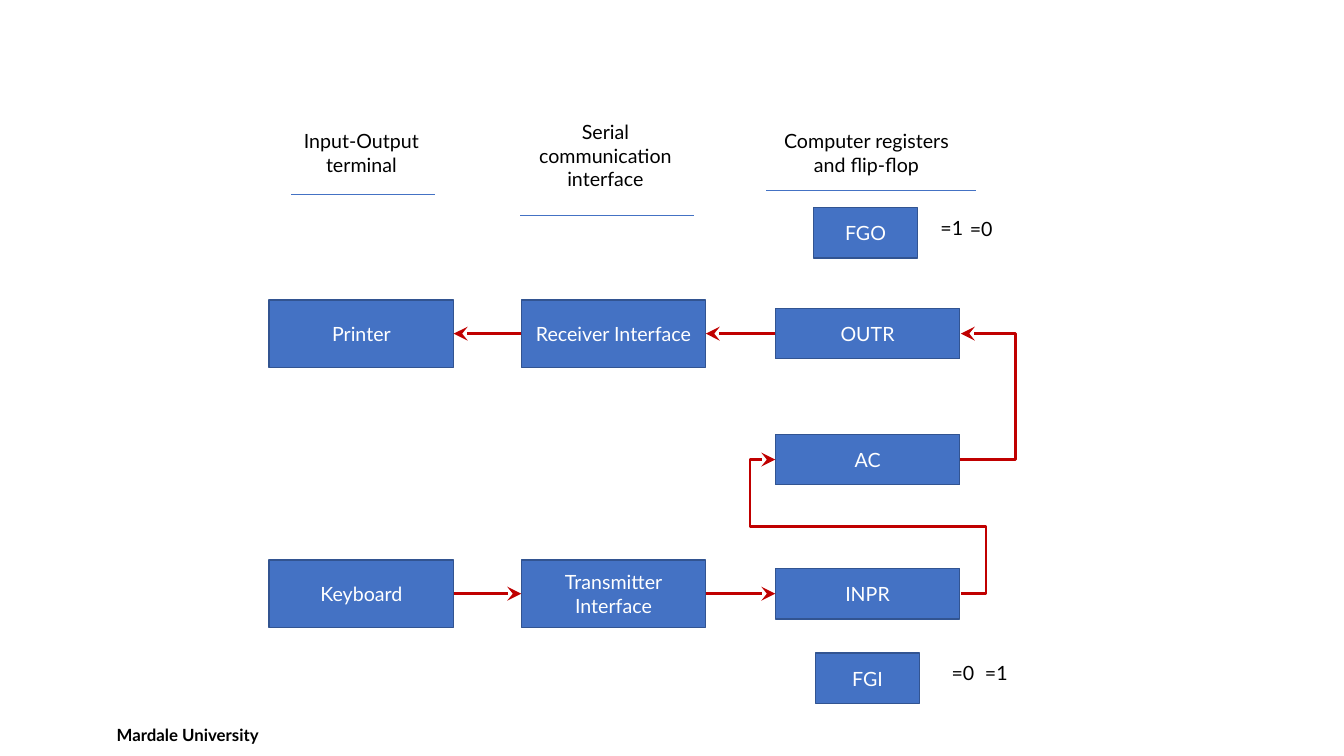
from pptx import Presentation
from pptx.util import Inches, Pt
from pptx.dml.color import RGBColor
from pptx.enum.shapes import MSO_SHAPE as Shape, MSO_CONNECTOR as Conn
from pptx.enum.text import PP_ALIGN as Align, MSO_ANCHOR as Anchor, MSO_AUTO_SIZE as Auto
from pptx.oxml.ns import qn
from lxml.etree import SubElement

BLUE = RGBColor(0x44, 0x72, 0xC4)
EDGE = RGBColor(0x32, 0x54, 0x91)
RED = RGBColor(0xC0, 0x00, 0x00)
BLACK = RGBColor(0, 0, 0)
WHITE = RGBColor(0xFF, 0xFF, 0xFF)
FONT = "Lato"

OUT_Y, AC_Y, IN_Y = 3.31, 4.56, 5.89
TERM_X, LINK_X, REG_X = 2.67, 5.17, 7.69
WIDE, TALL, LOW = 1.83, 0.67, 0.5
FLAG_W = 1.03


def add_text(frame, text, color, size=14, bold=False, align=Align.LEFT):
    para = frame.paragraphs[0]
    para.alignment = align
    run = para.add_run()
    run.text = text
    font = run.font
    font.name, font.size, font.bold = FONT, Pt(size), bold
    font.color.rgb = color


def add_box(slide, text, left, mid, width, height):
    box = slide.shapes.add_shape(
        Shape.RECTANGLE, Inches(left), Inches(mid - height / 2),
        Inches(width), Inches(height))
    box.shadow.inherit = False
    box.fill.solid()
    box.fill.fore_color.rgb = BLUE
    box.line.color.rgb = EDGE
    box.line.width = Pt(1)
    box.text_frame.vertical_anchor = Anchor.MIDDLE
    add_text(box.text_frame, text, WHITE, align=Align.CENTER)


def add_label(slide, text, left, top, width, height, align=Align.LEFT, wrap=True):
    label = slide.shapes.add_textbox(
        Inches(left), Inches(top), Inches(width), Inches(height))
    frame = label.text_frame
    frame.word_wrap = wrap
    frame.auto_size = Auto.SHAPE_TO_FIT_TEXT
    add_text(frame, text, BLACK, align=align)


def add_footer(slide, text):
    label = slide.shapes.add_textbox(Inches(1.06), Inches(7.09), Inches(8), Inches(0.4))
    frame = label.text_frame
    frame.word_wrap = True
    frame.vertical_anchor = Anchor.MIDDLE
    add_text(frame, text, BLACK, size=12, bold=True)


def add_line(slide, start, end, color, width, kind=Conn.STRAIGHT):
    line = slide.shapes.add_connector(kind, *map(Inches, start + end))
    line.line.color.rgb = color
    line.line.width = Pt(width)
    SubElement(line._element.spPr, qn("a:effectLst"))
    return line


def add_arrow(slide, start, end, kind=Conn.STRAIGHT):
    arrow = add_line(slide, start, end, RED, 2, kind)
    stroke = arrow._element.spPr.find(qn("a:ln"))
    SubElement(stroke, qn("a:tailEnd"), type="stealth", w="lg", len="lg")
    return arrow


def add_elbow(slide, start, end, preset, bends):
    arrow = add_arrow(slide, start, end, Conn.ELBOW)
    geom = arrow._element.spPr.find(qn("a:prstGeom"))
    geom.set("prst", preset)
    guides = geom.find(qn("a:avLst"))
    for num, bend in enumerate(bends, 1):
        SubElement(guides, qn("a:gd"), name=f"adj{num}", fmla=f"val {round(bend * 100000)}")


def main():
    prs = Presentation()
    prs.slide_width, prs.slide_height = Inches(13.33), Inches(7.5)
    slide = prs.slides.add_slide(prs.slide_layouts[6])

    add_footer(slide, "Mardale University")

    for text, left, mid, height in (
            ("Printer", TERM_X, OUT_Y, TALL),
            ("Receiver Interface", LINK_X, OUT_Y, TALL),
            ("OUTR", REG_X, OUT_Y, LOW),
            ("AC", REG_X, AC_Y, LOW),
            ("Keyboard", TERM_X, IN_Y, TALL),
            ("Transmitter Interface", LINK_X, IN_Y, TALL),
            ("INPR", REG_X, IN_Y, LOW)):
        add_box(slide, text, left, mid, WIDE, height)
    add_box(slide, "FGO", 8.07, 2.31, FLAG_W, LOW)
    add_box(slide, "FGI", 8.09, 6.73, FLAG_W, LOW)

    for text, left, top, width, height in (
            ("Input-Output terminal", 2.67, 1.23, 1.83, 0.57),
            ("Serial communication interface", 5.09, 1.14, 1.83, 0.81),
            ("Computer registers and flip-flop", 7.51, 1.23, 2.17, 0.57)):
        add_label(slide, text, left, top, width, height, Align.CENTER)
    for left, right, y in ((2.89, 4.31, 1.93), (5.16, 6.88, 2.14), (7.6, 9.68, 1.89)):
        add_line(slide, (left, y), (right, y), BLUE, 0.5)

    add_label(slide, "=1", 9.23, 2.09, 0.67, 0.34)
    add_label(slide, "=0", 9.52, 2.1, 0.47, 0.34, wrap=False)
    add_label(slide, "=0", 9.34, 6.51, 0.67, 0.34)
    add_label(slide, "=1", 9.67, 6.51, 0.47, 0.34, wrap=False)

    for left, right in ((TERM_X + WIDE, LINK_X), (LINK_X + WIDE, REG_X)):
        add_arrow(slide, (left, IN_Y), (right, IN_Y))
        add_arrow(slide, (right, OUT_Y), (left, OUT_Y))
    add_elbow(slide, (9.53, IN_Y), (REG_X, AC_Y), "bentConnector5", (-0.136, 0.5, 1.136))
    add_elbow(slide, (9.52, AC_Y), (9.53, OUT_Y), "bentConnector3", (56,))

    prs.save("out.pptx")


if __name__ == "__main__":
    main()
